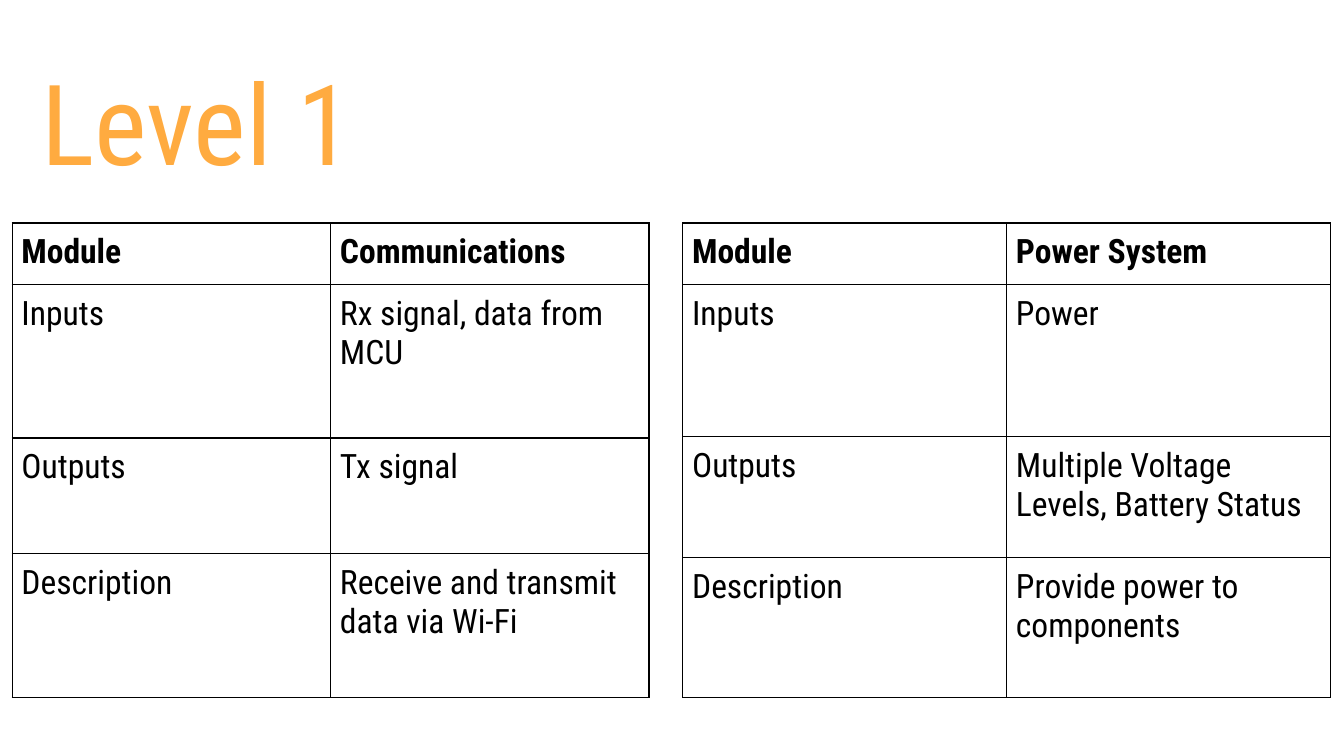
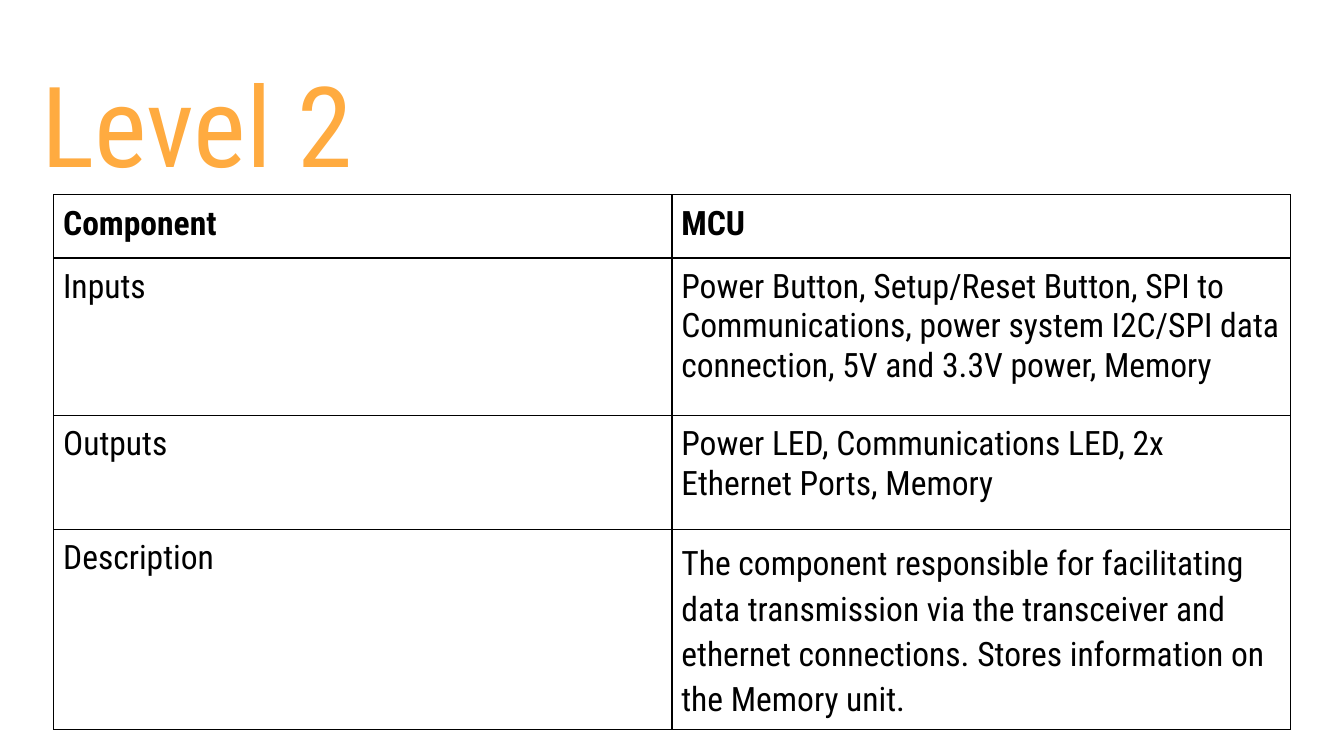
from lxml.etree import SubElement
from pptx import Presentation
from pptx.dml.color import RGBColor
from pptx.enum.text import MSO_ANCHOR, PP_ALIGN
from pptx.oxml.ns import qn
from pptx.util import Inches, Pt

AMBER = RGBColor(0xFF, 0xAB, 0x40)
BLACK = RGBColor(0, 0, 0)
FONT = "Roboto Condensed"
SLIDE_WIDTH = Inches(10)
TITLE_ONLY = 5
SIDES = ("left", "right", "top", "bottom")
ROW_LABELS = ("Inputs", "Outputs", "Description")


def apply(target, formats):
    """Set every attribute named in a dict of format values."""
    for name, value in formats.items():
        setattr(target, name, value)


def margins(inset):
    """Return equal margins for all four sides."""
    return {f"margin_{side}": Inches(inset) for side in SIDES}


def style_font(font, size, color, bold=False):
    """Give a font the deck's typeface, with a size, colour and weight."""
    apply(font, {"name": FONT, "size": Pt(size), "bold": bold})
    font.color.rgb = color


def add_titled_slide(deck, title, top):
    """Add a slide with its large amber title."""
    slide = deck.slides.add_slide(deck.slide_layouts[TITLE_ONLY])
    heading = slide.shapes.title
    apply(heading, {"left": Inches(0.21), "top": Inches(top),
                    "width": Inches(8.87), "height": Inches(1.14)})
    frame = heading.text_frame
    apply(frame, {"text": title, "word_wrap": True,
                  "vertical_anchor": MSO_ANCHOR.TOP, **margins(0.1)})
    paragraph = frame.paragraphs[0]
    apply(paragraph, {"alignment": PP_ALIGN.LEFT, "line_spacing": 1.0})
    style_font(paragraph.runs[0].font, 60, AMBER)
    return slide


def outline_cell(cell):
    """Draw a thin black border on all sides of an unfilled cell."""
    properties = cell._tc.get_or_add_tcPr()
    for side in ("L", "R", "T", "B"):
        border = SubElement(properties, qn(f"a:ln{side}"), w=str(Pt(0.75)))
        ink = SubElement(border, qn("a:solidFill"))
        SubElement(ink, qn("a:srgbClr"), val=str(BLACK))
    cell.fill.background()


def fill_cell(cell, text, bold, spacing):
    """Write one cell with its margins, font and border."""
    apply(cell, {"text": text, **margins(0.07)})
    paragraph = cell.text_frame.paragraphs[0]
    paragraph.line_spacing = spacing
    style_font(paragraph.runs[0].font, 18, BLACK, bold)
    outline_cell(cell)


def add_module_table(slide, left, top, column_width, row_heights, header, details,
                     description_spacing=1.0):
    """Add a two-column table describing one module."""
    rows = [header, *zip(ROW_LABELS, details)]
    table = slide.shapes.add_table(
        len(rows), 2, Inches(left), Inches(top),
        Inches(2 * column_width), Inches(sum(row_heights))).table
    apply(table, {"first_row": False, "horz_banding": False})
    for column in table.columns:
        column.width = Inches(column_width)
    for index, (texts, height) in enumerate(zip(rows, row_heights)):
        table.rows[index].height = Inches(height)
        for column, text in enumerate(texts):
            is_description = index == len(rows) - 1 and column == 1
            fill_cell(table.cell(index, column), text, index == 0,
                      description_spacing if is_description else 1.0)


def main():
    """Build the two system level slides."""
    deck = Presentation()
    apply(deck, {"slide_width": SLIDE_WIDTH, "slide_height": SLIDE_WIDTH * 9 // 16})

    level_one = add_titled_slide(deck, "Level 1", 0.3)
    add_module_table(level_one, 0.09, 1.66, 2.37, (0.46, 1.14, 0.86, 1.07),
                     ("Module", "Communications"),
                     ("Rx signal, data from MCU", "Tx signal",
                      "Receive and transmit data via Wi-Fi"))
    add_module_table(level_one, 5.08, 1.66, 2.41, (0.46, 1.13, 0.9, 1.04),
                     ("Module", "Power System"),
                     ("Power", "Multiple Voltage Levels, Battery Status",
                      "Provide power to components"))

    level_two = add_titled_slide(deck, "Level 2", 0.31)
    add_module_table(level_two, 0.4, 1.45, 4.6, (0.47, 1.17, 0.85, 1.45),
                     ("Component", "MCU"),
                     ("Power Button, Setup/Reset Button, SPI to Communications, "
                      "power system I2C/SPI data connection, 5V and 3.3V power, Memory",
                      "Power LED, Communications LED, 2x Ethernet Ports, Memory",
                      "The component responsible for facilitating data transmission "
                      "via the transceiver and ethernet connections. "
                      "Stores information on the Memory unit."),
                     description_spacing=1.15)

    deck.save("out.pptx")


if __name__ == "__main__":
    main()
